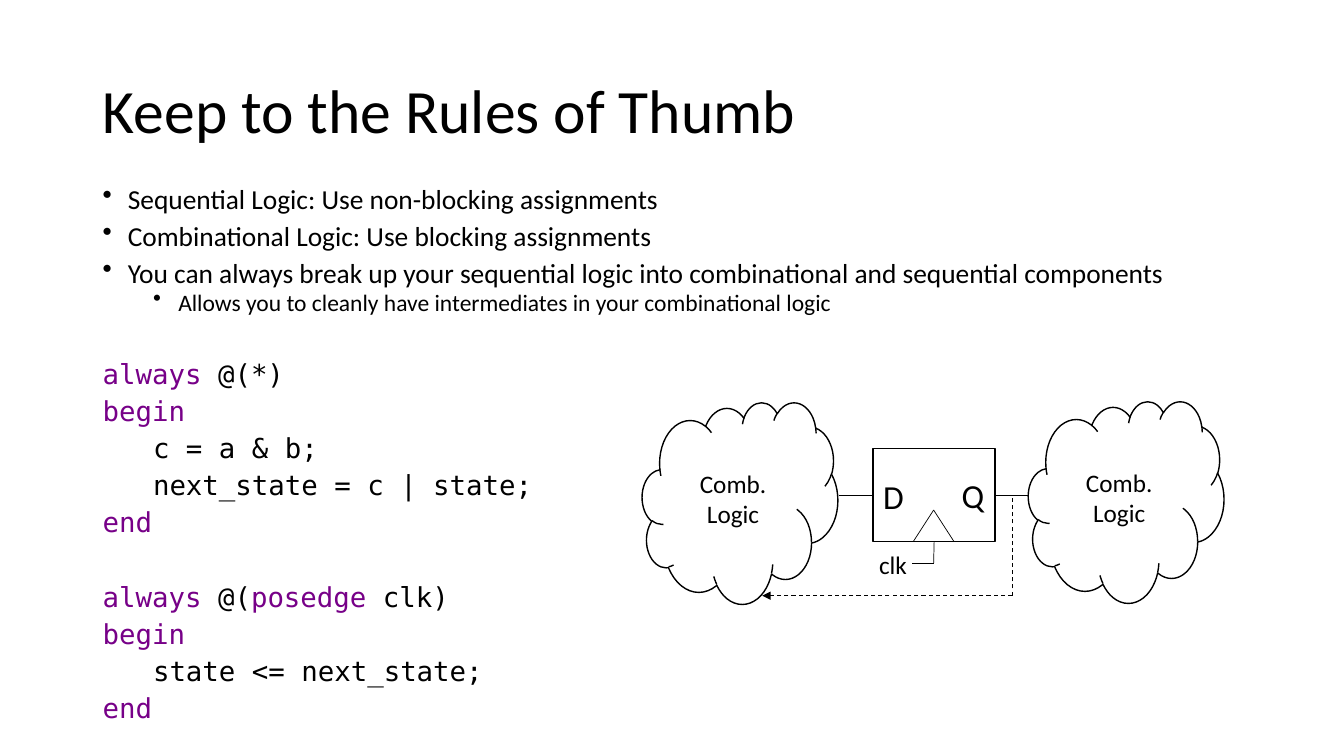
from dataclasses import dataclass

from lxml import etree
from pptx import Presentation
from pptx import util as u
from pptx.dml.color import RGBColor
from pptx.enum import dml, shapes, text
from pptx.oxml import ns

PX = 9144  # EMU per px, 100 px to the inch


@dataclass(frozen=True)
class Theme:
    ink: RGBColor = RGBColor(0, 0, 0)
    paper: RGBColor = RGBColor(255, 255, 255)
    keyword: RGBColor = RGBColor(0x77, 0, 0x88)
    sans: str = "Calibri"
    mono: str = "DejaVu Sans Mono"
    title: float = 44
    body: float = 19.6
    sub: float = 16.8
    pin: float = 24
    label: float = 18


THEME = Theme()

BULLETS = [
    (0, "Sequential Logic: Use non-blocking assignments"),
    (0, "Combinational Logic: Use blocking assignments"),
    (0, "You can always break up your sequential logic into combinational and sequential components"),
    (1, "Allows you to cleanly have intermediates in your combinational logic"),
]

# Keywords stand between backticks.
CODE_BLOCKS = [
    ["`always` @(*)", "`begin`", "\tc = a & b;", "\tnext_state = c | state;", "`end`"],
    ["`always` @(`posedge `clk)", "`begin`", "\tstate <= next_state;", "`end`"],
]


def px(*lengths):
    return [u.Emu(n * PX) for n in lengths]


def set_font(font, size, name=THEME.sans):
    font.size, font.name = u.Pt(size), name
    font.color.rgb = THEME.ink


def next_paragraph(tf):
    return tf.add_paragraph() if tf.paragraphs[0].runs else tf.paragraphs[0]


def add_title(slide, box, words):
    title = slide.shapes.title
    title.left, title.top, title.width, title.height = px(*box)
    tf = title.text_frame
    tf.auto_size = text.MSO_AUTO_SIZE.NONE
    tf.vertical_anchor = text.MSO_ANCHOR.MIDDLE
    p = tf.paragraphs[0]
    p.text, p.alignment, p.line_spacing = words, text.PP_ALIGN.LEFT, 0.9
    set_font(p.font, THEME.title)


def add_bullet(tf, level, words):
    p = next_paragraph(tf)
    p.text, p.level, p.line_spacing = words, level, 0.7
    p.space_before = u.Pt(5 if level else 10)
    set_font(p.font, THEME.sub if level else THEME.body)
    pPr = p._p.get_or_add_pPr()
    pPr.set("marL", str(px(25 + 50 * level)[0]))
    pPr.set("indent", str(px(-25)[0]))
    bullet = etree.Element(ns.qn("a:buChar"), char="•")
    pPr.find(ns.qn("a:defRPr")).addprevious(bullet)


def add_code_line(tf, line, gap):
    p = next_paragraph(tf)
    p.line_spacing, p.space_before = 0.7, u.Pt(gap)
    set_font(p.font, THEME.body, THEME.mono)
    for i, part in enumerate(line.split("`")):
        if part:
            r = p.add_run()
            r.text = part
            if i % 2:
                r.font.color.rgb = THEME.keyword


def add_body(slide, box):
    tf = slide.shapes.add_textbox(*px(*box)).text_frame
    tf.word_wrap = True
    for level, words in BULLETS:
        add_bullet(tf, level, words)
    for block in CODE_BLOCKS:
        for i, line in enumerate(block):
            add_code_line(tf, line, 10 if i else 36.5)


def add_outline(parent, kind, box):
    sp = parent.add_shape(kind, *px(*box))
    sp.shadow.inherit = False
    sp.fill.solid()
    sp.fill.fore_color.rgb = THEME.paper
    sp.line.color.rgb, sp.line.width = THEME.ink, u.Pt(1)
    return sp


def add_label(parent, box, words, size):
    tf = parent.add_textbox(*px(*box)).text_frame
    tf.word_wrap = False
    tf.auto_size = text.MSO_AUTO_SIZE.SHAPE_TO_FIT_TEXT
    p = tf.paragraphs[0]
    p.text = words
    set_font(p.font, size)


def add_wire(parent, start, end, width=0.5):
    wire = parent.add_connector(shapes.MSO_CONNECTOR.STRAIGHT, *px(*start, *end))
    wire.line.color.rgb, wire.line.width = THEME.ink, u.Pt(width)
    etree.SubElement(wire._element.spPr, ns.qn("a:effectLst"))
    return wire


def add_flip_flop(slide, box):
    x, y, w, h = box
    mid_x, mid_y, bottom = x + w // 2, y + h // 2, y + h
    parent = slide.shapes.add_group_shape().shapes
    register = add_outline(parent, shapes.MSO_SHAPE.RECTANGLE, box)
    add_label(parent, (x, y + 22, 41, 50), "D", THEME.pin)
    add_label(parent, (x + w - 43, y + 21, 43, 50), "Q", THEME.pin)
    for side in (-20, 20):
        add_wire(parent, (mid_x + side, bottom), (mid_x, bottom - 31))
    add_wire(parent, (x - 34, mid_y), (x, mid_y)).end_connect(register, 1)
    add_wire(parent, (x + w, mid_y), (x + w + 33, mid_y)).begin_connect(register, 3)
    add_wire(parent, (mid_x - 21, bottom + 22), (mid_x, bottom + 22))
    add_wire(parent, (mid_x, bottom + 22), (mid_x, bottom)).end_connect(register, 2)
    add_label(parent, (x - 4, bottom + 3, 48, 40), "clk", THEME.label)


def add_cloud(slide, box):
    sp = add_outline(slide.shapes, shapes.MSO_SHAPE.CLOUD, box)
    tf = sp.text_frame
    tf.vertical_anchor = text.MSO_ANCHOR.MIDDLE
    p = tf.paragraphs[0]
    p.text, p.alignment = "Comb.\nLogic", text.PP_ALIGN.CENTER
    set_font(p.font, THEME.label)


def add_feedback(slide, box):
    """Dashed path down the right side of the box, then left to an arrowhead."""
    x, y, w, h = box
    corner = (x + w, y + h)
    for end in ((x + w, y), (x, y + h)):
        wire = add_wire(slide.shapes, corner, end, 0.75)
        wire.line.dash_style = dml.MSO_LINE.DASH
    etree.SubElement(wire.line._get_or_add_ln(), ns.qn("a:tailEnd"), type="triangle")


def add_circuit(slide, box):
    x, y, w, h = box
    add_flip_flop(slide, (x + 229, y + 47, 121, 92))
    add_cloud(slide, (x + w - 194, y, 194, 200))
    add_cloud(slide, (x, y + 1, 194, 200))
    add_feedback(slide, (x + 119, y + 94, 248, 99))


def main():
    prs = Presentation()
    prs.slide_width, prs.slide_height = px(1333, 750)
    slide = prs.slides.add_slide(prs.slide_layouts.get_by_name("Title Only"))
    add_title(slide, (92, 40, 1150, 145), "Keep to the Rules of Thumb")
    add_body(slide, (92, 185, 1150, 551))
    add_circuit(slide, (637, 398, 577, 201))
    prs.save("out.pptx")


if __name__ == "__main__":
    main()
